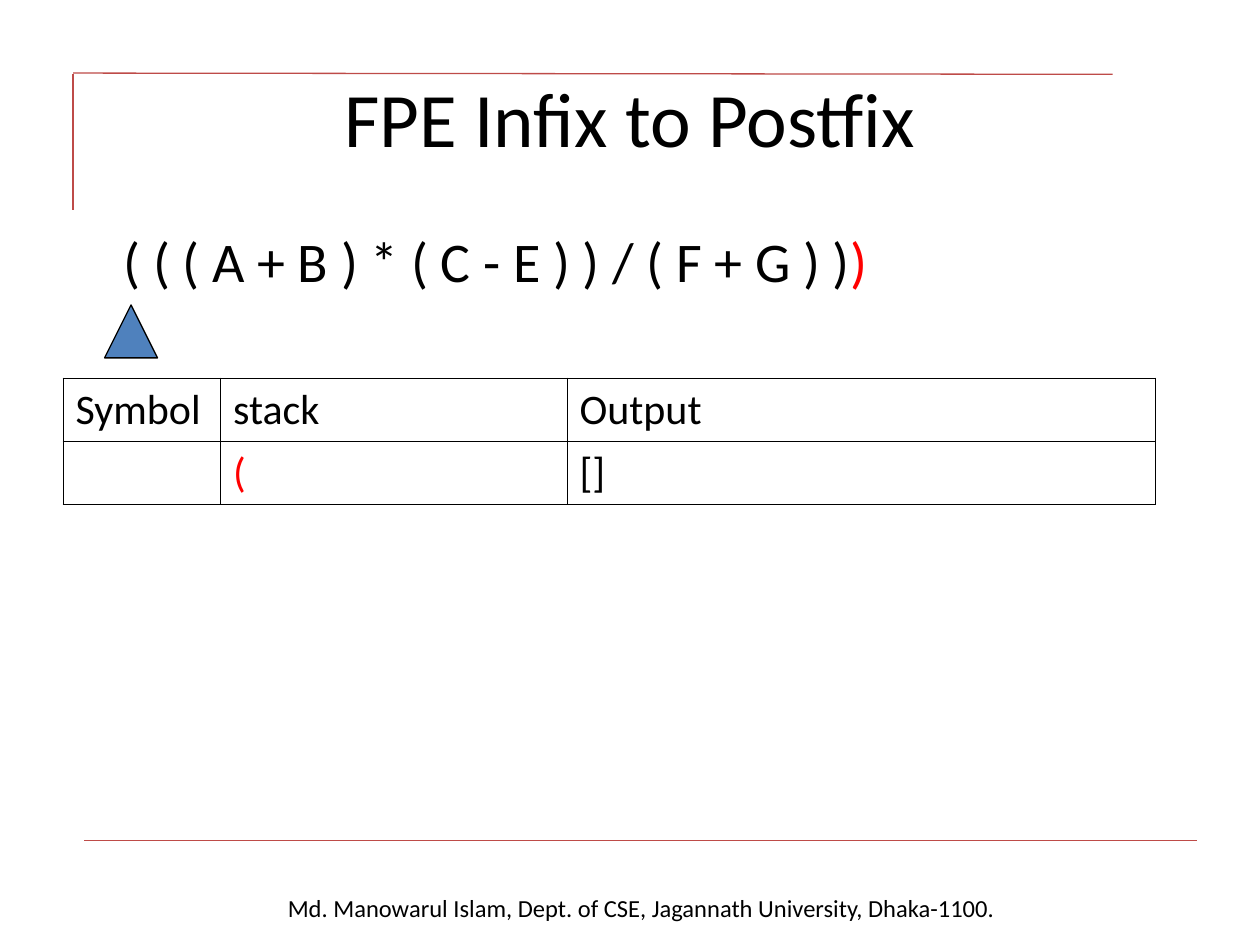
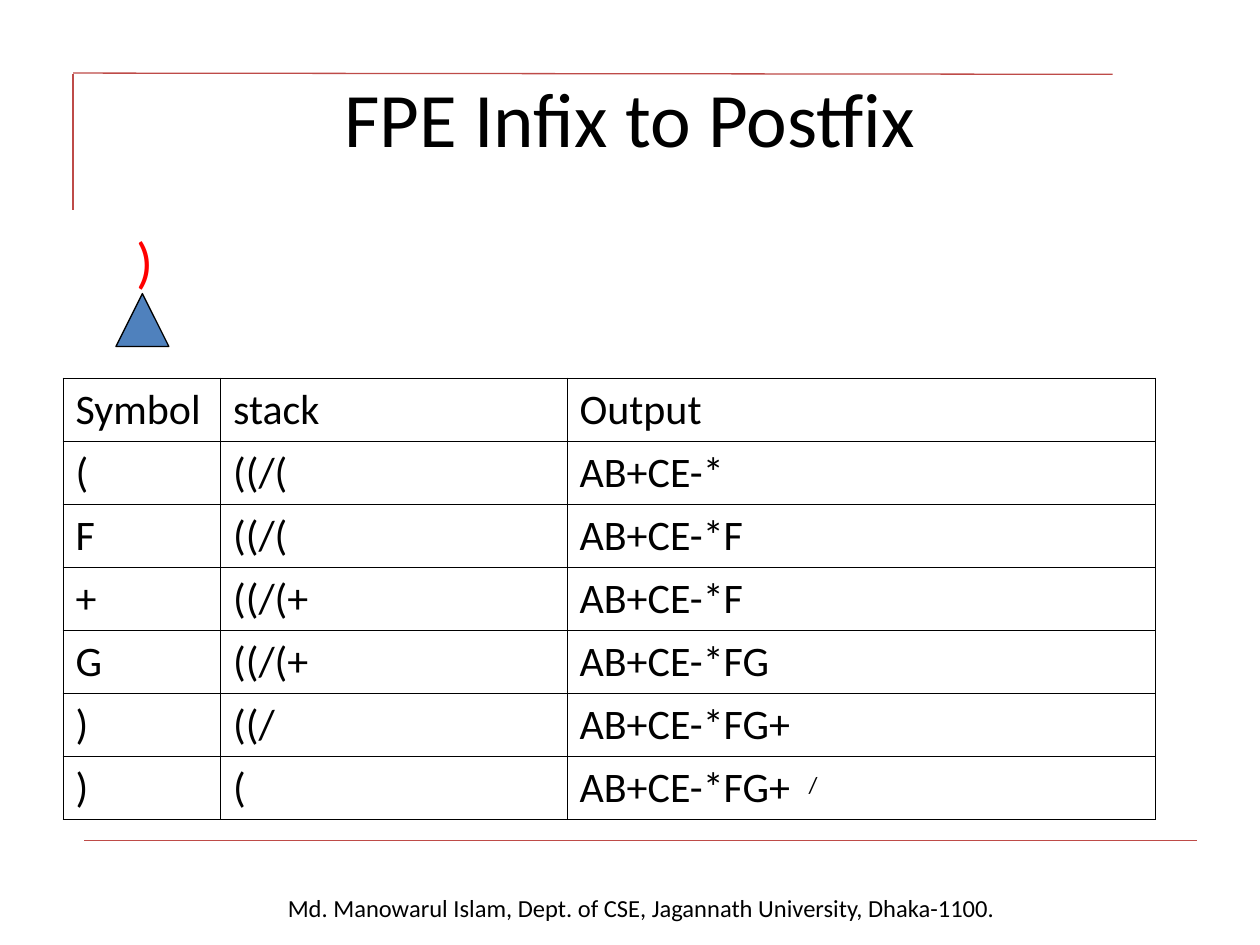
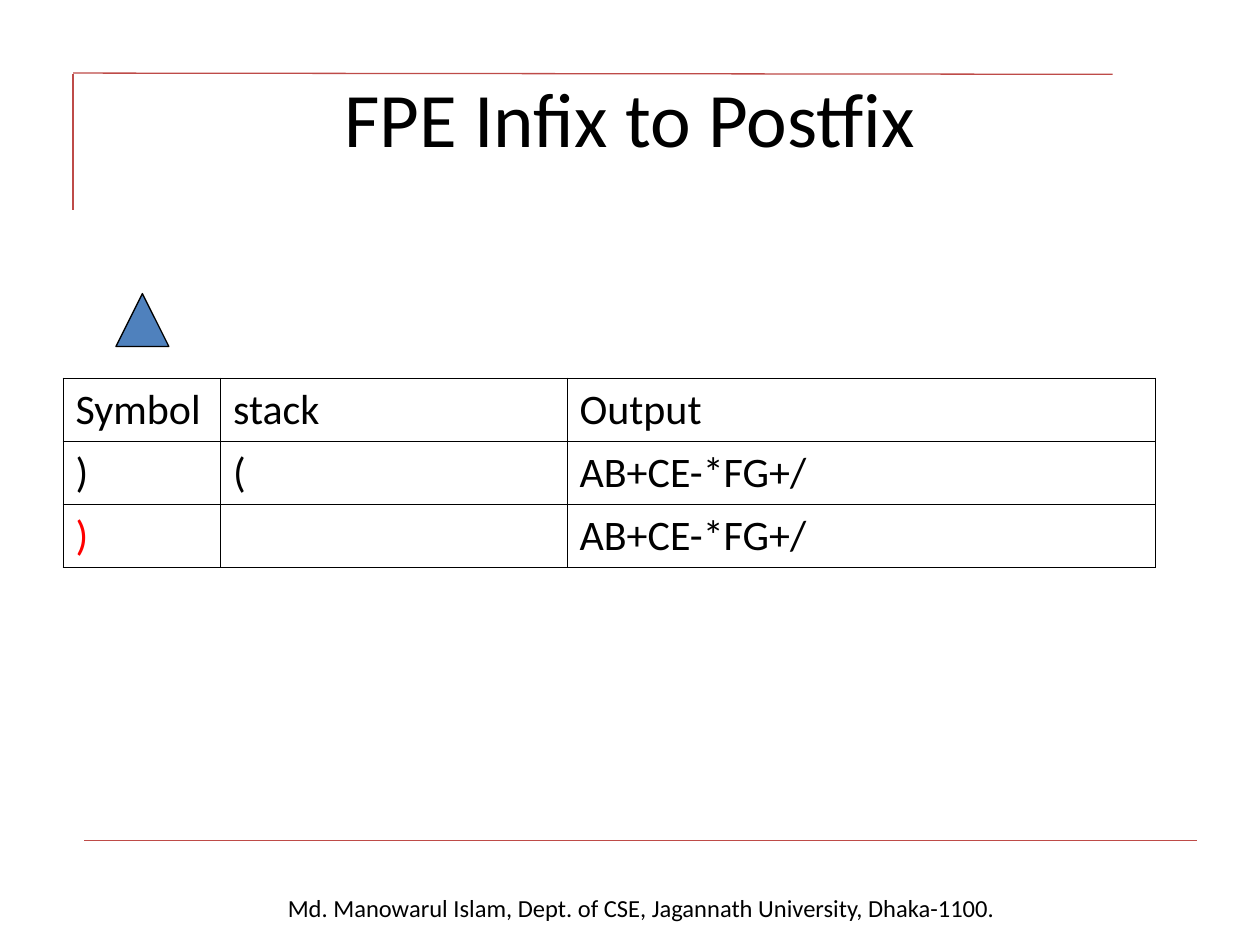
from lxml import etree
from pptx import Presentation
from pptx import util as u
from pptx.dml.color import RGBColor
from pptx.enum import shapes, text
from pptx.oxml import ns

BLACK = RGBColor(0x00, 0x00, 0x00)
WHITE = RGBColor(0xFF, 0xFF, 0xFF)
RED = RGBColor(0xFF, 0x00, 0x00)
BLUE = RGBColor(0x4F, 0x81, 0xBD)
RULE = RGBColor(0xBE, 0x4B, 0x48)
FONT = "Calibri"

TITLE = "FPE Infix to Postfix"
FOOTER = "Md. Manowarul Islam, Dept. of CSE, Jagannath University, Dhaka-1100."
RULES = [(0.58, 0.59, 0.58, 1.67), (0.58, 0.58, 8.83, 0.59), (0.67, 6.67, 9.5, 6.67)]
HEADER = ["Symbol", "stack", "Output"]
COLUMNS = [1.25, 2.75, 4.67]
ROW_HEIGHT = 0.5

SLIDES = [
    {
        "expression": [("( ( ( A + B ) * ( C - E ) ) / ( F + G ) )", BLACK), (")", RED)],
        "indent": 0.48,
        "pointer": (0.83, 2.42),
        "rows": [["", "(", "[]"]],
        "red_cell": (1, 1),
    },
    {
        "expression": [(")", RED)],
        "indent": 0.58,
        "pointer": (0.92, 2.33),
        "rows": [
            ["(", "((/(", "AB+CE-*"],
            ["F", "((/(", "AB+CE-*F"],
            ["+", "((/(+", "AB+CE-*F"],
            ["G", "((/(+", "AB+CE-*FG"],
            [")", "((/", "AB+CE-*FG+"],
            [")", "(", "AB+CE-*FG+"],
        ],
        "slash": (6.32, 6.08),
    },
    {
        "pointer": (0.92, 2.33),
        "rows": [[")", "(", "AB+CE-*FG+/"], [")", "", "AB+CE-*FG+/"]],
        "red_cell": (2, 0),
    },
]


def add_run(p, words, size, color=BLACK):
    r = p.add_run()
    r.text = words
    r.font.name = FONT
    r.font.size = u.Pt(size)
    r.font.color.rgb = color


def add_box(s, left, top, width, height):
    tf = s.shapes.add_textbox(
        u.Inches(left), u.Inches(top), u.Inches(width), u.Inches(height)
    ).text_frame
    tf.word_wrap = True
    return tf


prs = Presentation()
prs.slide_width = u.Inches(10)
prs.slide_height = u.Inches(7.5)

for content in SLIDES:
    s = prs.slides.add_slide(prs.slide_layouts[6])

    tf = add_box(s, 0.38, 7.04, 9.42, 0.34)
    tf.paragraphs[0].alignment = text.PP_ALIGN.CENTER
    add_run(tf.paragraphs[0], FOOTER, 14)

    for ends in RULES:
        line = s.shapes.add_connector(
            shapes.MSO_CONNECTOR.STRAIGHT, *[u.Inches(v) for v in ends]
        )
        line.line.color.rgb = RULE
        line.line.width = u.Pt(0.75)
        etree.SubElement(line._element.spPr, ns.qn("a:effectLst"))

    tf = add_box(s, 0.5, 0.3, 9, 1.25)
    tf.vertical_anchor = text.MSO_ANCHOR.MIDDLE
    tf.paragraphs[0].alignment = text.PP_ALIGN.CENTER
    add_run(tf.paragraphs[0], TITLE, 44)

    if "expression" in content:
        tf = add_box(s, 0.5, 1.75, 9, 4.95)
        tf.margin_left = u.Inches(content["indent"])
        p = tf.paragraphs[0]
        p.space_before = u.Pt(8)
        for words, color in content["expression"]:
            add_run(p, words, 32, color)

    left, top = content["pointer"]
    pointer = s.shapes.add_shape(
        shapes.MSO_SHAPE.ISOSCELES_TRIANGLE,
        u.Inches(left), u.Inches(top), u.Inches(0.42), u.Inches(0.42),
    )
    pointer.shadow.inherit = False
    pointer.fill.solid()
    pointer.fill.fore_color.rgb = BLUE
    pointer.line.color.rgb = BLACK
    pointer.line.width = u.Pt(0.75)

    rows = [HEADER] + content["rows"]
    table = s.shapes.add_table(
        len(rows), len(COLUMNS), u.Inches(0.5), u.Inches(3),
        u.Inches(sum(COLUMNS)), u.Inches(ROW_HEIGHT * len(rows)),
    ).table
    table.first_row = False
    table.horz_banding = False
    for column, width in zip(table.columns, COLUMNS):
        column.width = u.Inches(width)
    for i, row in enumerate(rows):
        table.rows[i].height = u.Inches(ROW_HEIGHT)
        for j, words in enumerate(row):
            cell = table.cell(i, j)
            if words:
                color = RED if content.get("red_cell") == (i, j) else BLACK
                add_run(cell.text_frame.paragraphs[0], words, 24, color)
            tcPr = cell._tc.get_or_add_tcPr()
            for side in ("lnL", "lnR", "lnT", "lnB"):
                border = etree.SubElement(tcPr, ns.qn("a:" + side), w=str(u.Pt(0.45)))
                fill = etree.SubElement(border, ns.qn("a:solidFill"))
                etree.SubElement(fill, ns.qn("a:srgbClr"), val=str(BLACK))
            cell.fill.background()

    if "slash" in content:
        left, top = content["slash"]
        slash = s.shapes.add_shape(
            shapes.MSO_SHAPE.RECTANGLE,
            u.Inches(left), u.Inches(top), u.Inches(0.25), u.Inches(0.33),
        )
        slash.shadow.inherit = False
        slash.fill.solid()
        slash.fill.fore_color.rgb = WHITE
        slash.line.fill.background()
        tf = slash.text_frame
        tf.vertical_anchor = text.MSO_ANCHOR.MIDDLE
        p = tf.paragraphs[0]
        p.alignment = text.PP_ALIGN.CENTER
        p.line_spacing = 0.8
        add_run(p, "/", 13.2)

prs.save("out.pptx")
